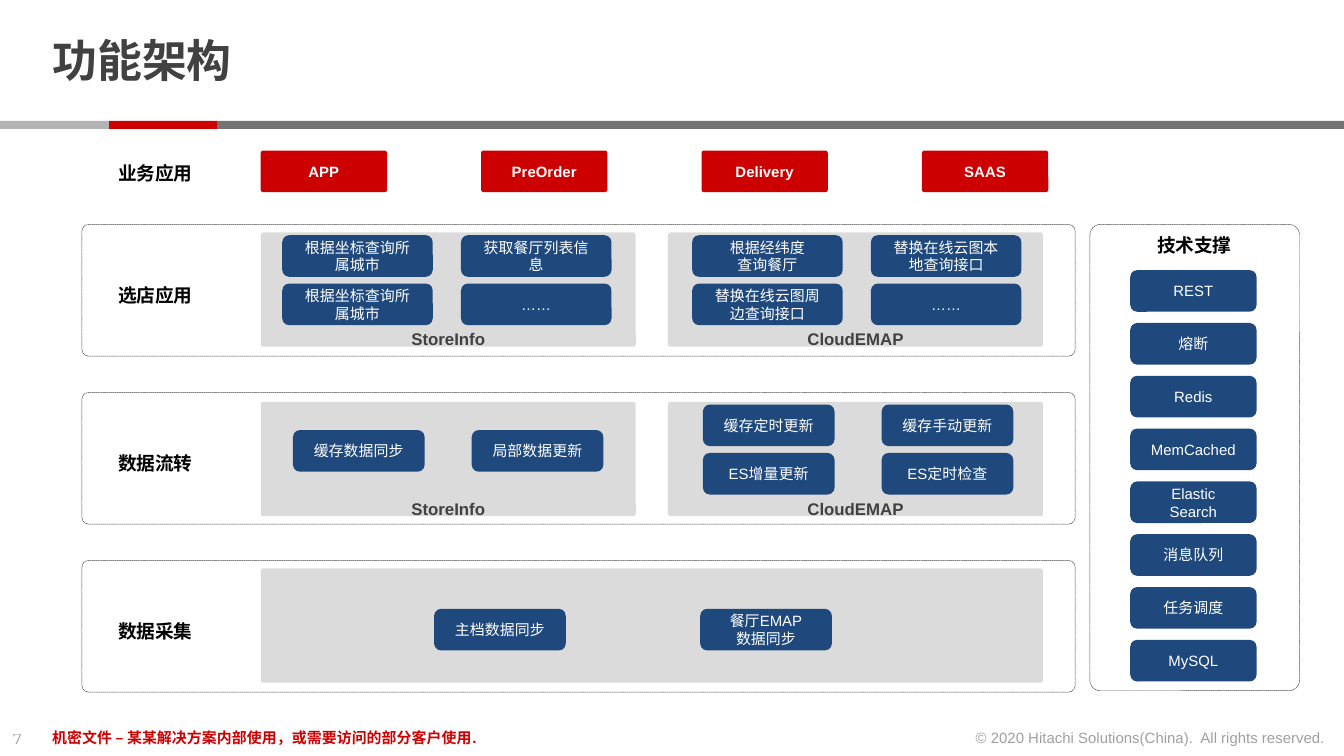
"""Build the functional architecture slide: business apps, three layers and technical support."""
from lxml.etree import SubElement
from pptx import Presentation
from pptx.dml.color import RGBColor
from pptx.enum.dml import MSO_LINE
from pptx.enum.shapes import MSO_SHAPE as SHAPE
from pptx.enum.text import MSO_ANCHOR as ANCHOR, MSO_AUTO_SIZE as FIT, PP_ALIGN as ALIGN
from pptx.oxml.ns import qn
from pptx.util import Inches, Pt

TITLE = "功能架构"
PAGE = "7"
NOTICE = "机密文件 – 某某解决方案内部使用，或需要访问的部分客户使用."
COPYRIGHT = "© 2020 Hitachi Solutions(China).\u00a0 All rights reserved."
APPS = ["APP", "PreOrder", "Delivery", "SAAS"]
SUPPORT = ["REST", "熔断", "Redis", "MemCached", "Elastic\nSearch", "消息队列", "任务调度", "MySQL"]

LAYERS = [
    {"name": "选店应用", "top": 1.67, "panel_top": 1.73, "panels": [
        {"x": 1.94, "w": 2.79, "caption": "StoreInfo", "first": (2.1, 0.02), "button_w": 1.12, "dx": 1.33,
         "rows": [["根据坐标查询所属城市", "获取餐厅列表信息"], ["根据坐标查询所属城市", "……"]]},
        {"x": 4.97, "w": 2.79, "caption": "CloudEMAP", "first": (5.15, 0.02), "button_w": 1.12, "dx": 1.33,
         "rows": [["根据经纬度\n查询餐厅", "替换在线云图本地查询接口"], ["替换在线云图周边查询接口", "……"]]},
    ]},
    {"name": "数据流转", "top": 2.92, "panel_top": 2.99, "panels": [
        {"x": 1.94, "w": 2.79, "caption": "StoreInfo", "first": (2.18, 0.21), "button_w": 0.98, "dx": 1.33,
         "rows": [["缓存数据同步", "局部数据更新"]]},
        {"x": 4.97, "w": 2.79, "caption": "CloudEMAP", "first": (5.23, 0.02), "button_w": 0.98, "dx": 1.33,
         "rows": [["缓存定时更新", "缓存手动更新"], ["ES增量更新", "ES定时检查"]]},
    ]},
    {"name": "数据采集", "top": 4.17, "panel_top": 4.23, "panels": [
        {"x": 1.94, "w": 5.82, "caption": None, "first": (3.23, 0.3), "button_w": 0.98, "dx": 1.98,
         "rows": [["主档数据同步", "餐厅EMAP\n数据同步"]]},
    ]},
]

COLORS = {"red": "CC0000", "blue": "1F497D", "panel": "A6A6A6", "dark": "414141",
          "black": "000000", "white": "FFFFFF", "bar": "737373", "light": "B3B3B3"}
CJK = "Noto Sans CJK SC"
BUTTON_H = 0.31
ROW_STEP = 0.36
SUPPORT_STEP = 0.393
CAPTION_W = {"StoreInfo": 0.8, "CloudEMAP": 0.95}

prs = Presentation()
prs.slide_width, prs.slide_height = Inches(10), Inches(10 * 9 / 16)
s = prs.slides.add_slide(prs.slide_layouts[5])


def paint(fill, color, opacity=100):
    fill.solid()
    fill.fore_color.rgb = RGBColor.from_string(COLORS[color])
    if opacity < 100:
        clr = fill._xPr.find(qn("a:solidFill"))[0]
        SubElement(clr, qn("a:alpha"), val=str(opacity * 1000))


def write(tf, text, size, color, bold=False, align=ALIGN.CENTER, font="Arial", opacity=100, spacing=None):
    for i, line in enumerate(text.split("\n")):
        p = tf.paragraphs[0] if i == 0 else tf.add_paragraph()
        p.alignment, p.line_spacing = align, spacing
        r = p.add_run()
        r.text = line
        for key, value in {"name": font, "size": Pt(size), "bold": bold}.items():
            setattr(r.font, key, value)
        paint(r.font.fill, color, opacity)
        SubElement(r.font._element, qn("a:ea"), typeface=CJK)


def text(box, content, size, color, wrap=True, anchor=ANCHOR.TOP, **style):
    tf = s.shapes.add_textbox(*map(Inches, box)).text_frame
    for key, value in {"word_wrap": wrap, "auto_size": FIT.SHAPE_TO_FIT_TEXT, "vertical_anchor": anchor}.items():
        setattr(tf, key, value)
    write(tf, content, size, color, **style)


def block(box, color=None, radius=None, opacity=100, kind=SHAPE.ROUNDED_RECTANGLE):
    sp = s.shapes.add_shape(kind, *map(Inches, box))
    sp.shadow.inherit = False
    if radius is not None:
        sp.adjustments[0] = radius
    if color:
        paint(sp.fill, color, opacity)
        sp.line.fill.background()
    else:
        sp.fill.background()
        paint(sp.line.fill, "dark")
        sp.line.width, sp.line.dash_style = Pt(0.25), MSO_LINE.SQUARE_DOT
    return sp


def button(x, y, w, label, color="blue", radius=None, bold=False):
    tf = block((x, y, w, BUTTON_H), color, radius).text_frame
    tf.word_wrap, tf.vertical_anchor = True, ANCHOR.MIDDLE
    write(tf, label, 8, "white", bold)


def heading(x, y, label):
    text((x, y, 0.79, 0.27), label, 10, "black", anchor=ANCHOR.MIDDLE, bold=True)


def panel(top, x, w, caption, first, button_w, dx, rows):
    block((x, top, w, 0.85), "panel", 0.022, 40)
    if caption:
        cw = CAPTION_W[caption]
        text((x + (w - cw) / 2, top + 0.67, cw, 0.25), caption, 9, "dark", wrap=False, bold=True)
    for i, row in enumerate(rows):
        for j, label in enumerate(row):
            button(first[0] + j * dx, top + first[1] + i * ROW_STEP, button_w, label)


for x, w, color in [(1.62, 8.38, "bar"), (0.81, 0.81, "red"), (0, 0.81, "light")]:
    block((x, 0.9, w, 0.06), color, kind=SHAPE.RECTANGLE)

title = s.shapes.title
for key, value in zip(("left", "top", "width", "height"), (0.29, 0.11, 7.71, 0.73)):
    setattr(title, key, Inches(value))
tf = title.text_frame
for key, value in {"margin_left": Inches(0.1), "margin_right": Inches(0.1), "margin_top": 0,
                   "margin_bottom": 0, "vertical_anchor": ANCHOR.MIDDLE, "auto_size": FIT.NONE}.items():
    setattr(tf, key, value)
write(tf, TITLE, 24, "dark", True, ALIGN.LEFT, CJK, spacing=0.85)

text((0, 5.38, 0.34, 0.24), PAGE, 8, "dark", wrap=False, align=ALIGN.LEFT, font="Montserrat", opacity=50)
text((0.29, 5.37, 6.74, 0.24), NOTICE, 8, "red", bold=True, align=ALIGN.LEFT)
text((7.12, 5.37, 2.84, 0.24), COPYRIGHT, 8, "dark", wrap=False, align=ALIGN.RIGHT, opacity=50)

heading(0.76, 1.15, "业务应用")
for i, app in enumerate(APPS):
    button(1.94 + i * 1.64, 1.12, 0.94, app, "red", 0.061, True)

for layer in LAYERS:
    block((0.61, layer["top"], 7.39, 0.98), radius=0.05)
    heading(0.76, layer["top"] + 0.39, layer["name"])
    for item in layer["panels"]:
        panel(layer["panel_top"], **item)

block((8.11, 1.67, 1.56, 3.47), radius=0.05)
heading(8.49, 1.69, "技术支撑")
for i, tool in enumerate(SUPPORT):
    button(8.41, 2.01 + i * SUPPORT_STEP, 0.94, tool)

prs.save("out.pptx")
